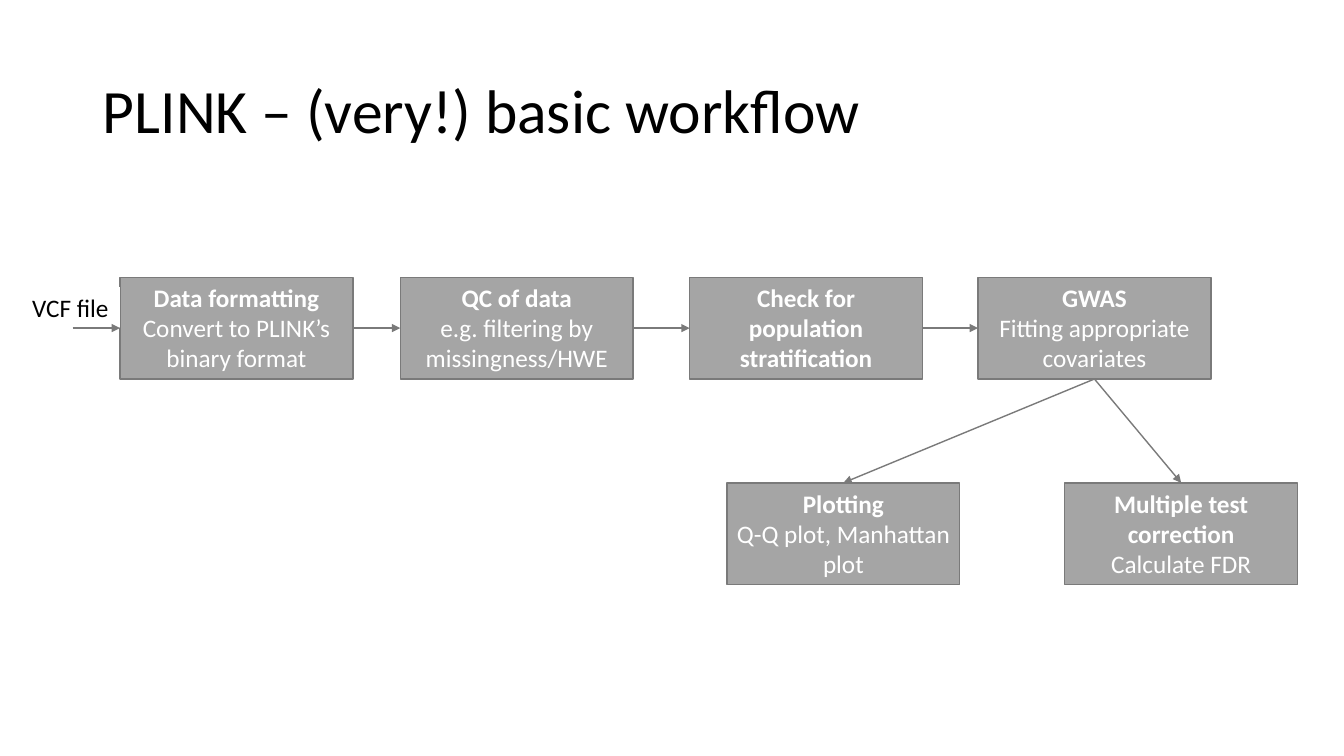
from lxml import etree
from pptx import Presentation
from pptx.dml.color import RGBColor
from pptx.enum.shapes import MSO_CONNECTOR, MSO_SHAPE
from pptx.enum.text import MSO_ANCHOR, MSO_AUTO_SIZE, PP_ALIGN
from pptx.oxml.ns import qn
from pptx.util import Inches, Pt

RECT = MSO_SHAPE.RECTANGLE
STRAIGHT = MSO_CONNECTOR.STRAIGHT
TOP, MIDDLE = MSO_ANCHOR.TOP, MSO_ANCHOR.MIDDLE
LEFT, CENTER = PP_ALIGN.LEFT, PP_ALIGN.CENTER
FIT_SHAPE, NO_FIT = MSO_AUTO_SIZE.SHAPE_TO_FIT_TEXT, MSO_AUTO_SIZE.NONE

BLACK = RGBColor(0x00, 0x00, 0x00)
WHITE = RGBColor(0xFF, 0xFF, 0xFF)
GRAY = RGBColor(0xA5, 0xA5, 0xA5)
DARK_GRAY = RGBColor(0x7A, 0x7A, 0x7A)

FONT = "Calibri"
BOX_W, BOX_H = 2.31, 1.01
STEP_Y, RESULT_Y = 2.75, 4.79
SITE_TOP, SITE_LEFT, SITE_BOTTOM, SITE_RIGHT = range(4)

STEPS = [
    (1.19, "Data formatting", "Convert to PLINK’s binary format"),
    (3.97, "QC of data", "e.g. filtering by missingness/HWE"),
    (6.84, "Check for population stratification", None),
    (9.7, "GWAS", "Fitting appropriate covariates"),
]
RESULTS = [
    (7.21, "Plotting", "Q-Q plot, Manhattan plot"),
    (10.56, "Multiple test correction", "Calculate FDR"),
]


class WorkflowSlide:
    def __init__(self, prs):
        self.s = prs.slides.add_slide(prs.slide_layouts[5])

    def style(self, p, size, color, bold=False, align=LEFT):
        p.alignment = align
        for r in p.runs:
            r.font.name = FONT
            r.font.size = Pt(size)
            r.font.bold = bold
            r.font.color.rgb = color

    def title(self, text):
        sp = self.s.shapes.title
        sp.left, sp.top = Inches(0.92), Inches(0.4)
        sp.width, sp.height = Inches(11.5), Inches(1.45)
        tf = sp.text_frame
        tf.text = text
        tf.auto_size = NO_FIT
        tf.vertical_anchor = MIDDLE
        p = tf.paragraphs[0]
        p.line_spacing = 0.9
        self.style(p, 44, BLACK)

    def rect(self, x, y, w, h, fill):
        sp = self.s.shapes.add_shape(RECT, Inches(x), Inches(y), Inches(w), Inches(h))
        sp.shadow.inherit = False
        sp.fill.solid()
        sp.fill.fore_color.rgb = fill
        sp.text_frame.vertical_anchor = TOP
        sp.text_frame.auto_size = FIT_SHAPE
        return sp

    def box(self, x, y, heading, detail):
        sp = self.rect(x, y, BOX_W, BOX_H, GRAY)
        sp.line.color.rgb = DARK_GRAY
        sp.line.width = Pt(1)
        tf = sp.text_frame
        tf.word_wrap = True
        tf.text = heading
        self.style(tf.paragraphs[0], 18, WHITE, True, CENTER)
        if detail:
            p = tf.add_paragraph()
            p.text = detail
            self.style(p, 18, WHITE, False, CENTER)
        return sp

    def label(self, x, y, w, h, text):
        sp = self.rect(x, y, w, h, WHITE)
        sp.line.fill.background()
        tf = sp.text_frame
        tf.word_wrap = False
        tf.text = text
        self.style(tf.paragraphs[0], 18, BLACK)

    def arrow(self, target, target_site, source=None, source_site=SITE_RIGHT, start=(0, 0)):
        x, y = (Inches(v) for v in start)
        cxn = self.s.shapes.add_connector(STRAIGHT, x, y, x, y)
        if source is not None:
            cxn.begin_connect(source, source_site)
        cxn.end_connect(target, target_site)
        cxn.line.color.rgb = DARK_GRAY
        cxn.line.width = Pt(1)
        etree.SubElement(cxn.line._get_or_add_ln(), qn("a:tailEnd"), type="triangle")
        etree.SubElement(cxn._element.spPr, qn("a:effectLst"))


def main():
    prs = Presentation()
    prs.slide_width, prs.slide_height = Inches(13.33), Inches(7.5)
    slide = WorkflowSlide(prs)
    slide.title("PLINK – (very!) basic workflow")

    steps = [slide.box(x, STEP_Y, heading, detail) for x, heading, detail in STEPS]
    results = [slide.box(x, RESULT_Y, heading, detail) for x, heading, detail in RESULTS]
    slide.label(0.22, 2.85, 0.97, 0.4, "VCF file")

    slide.arrow(steps[0], SITE_LEFT, start=(0.72, STEP_Y + BOX_H / 2))
    for source, target in zip(steps, steps[1:]):
        slide.arrow(target, SITE_LEFT, source)
    for result in results:
        slide.arrow(result, SITE_TOP, steps[-1], SITE_BOTTOM)

    prs.save("out.pptx")


if __name__ == "__main__":
    main()
